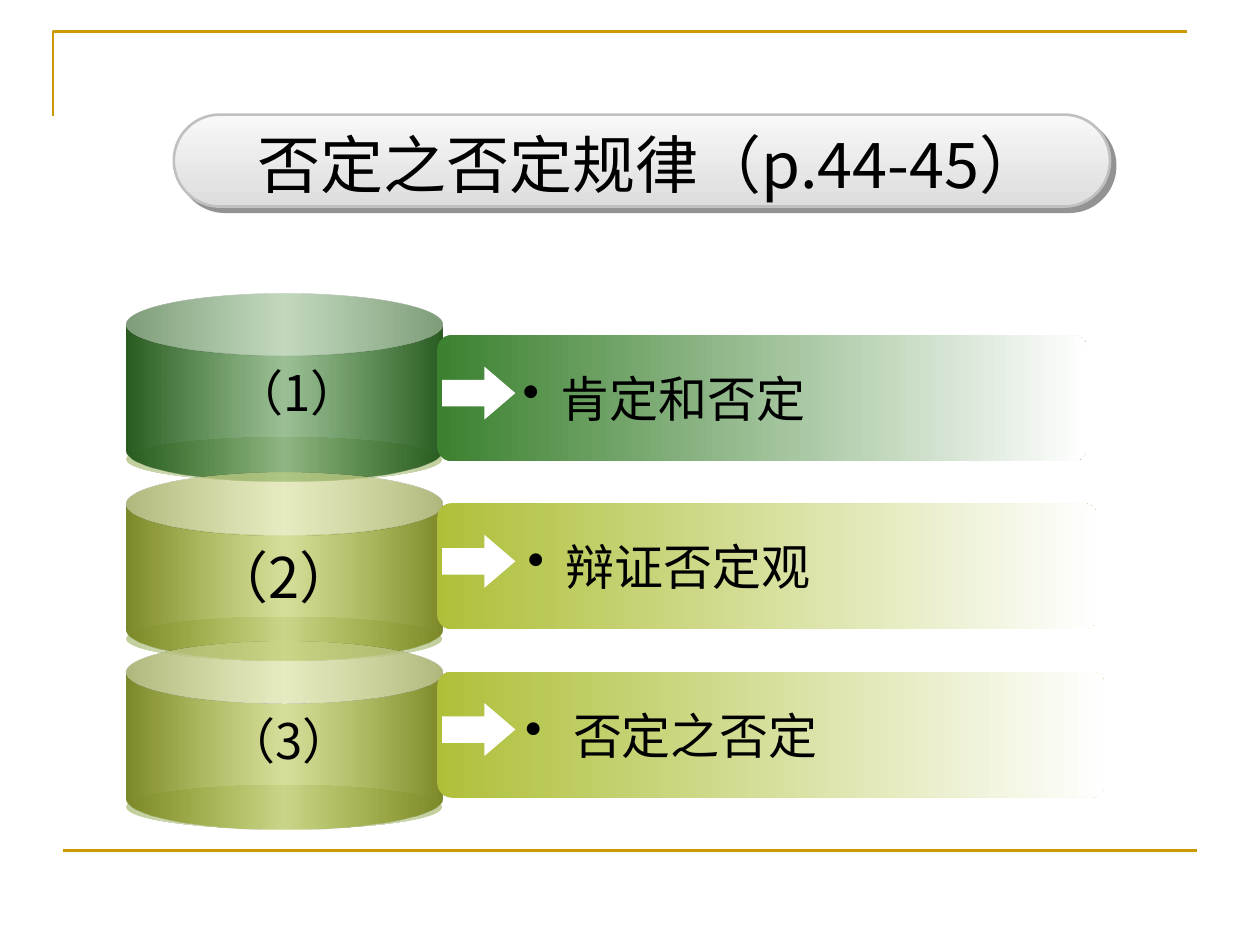
from lxml import etree
from pptx import Presentation
from pptx.dml.color import RGBColor
from pptx.enum.shapes import MSO_CONNECTOR, MSO_SHAPE
from pptx.enum.text import MSO_ANCHOR, PP_ALIGN
from pptx.oxml import parse_xml
from pptx.oxml.ns import nsdecls, qn
from pptx.util import Inches, Pt

LINE = MSO_CONNECTOR.STRAIGHT
PILL, OVAL = MSO_SHAPE.ROUNDED_RECTANGLE, MSO_SHAPE.OVAL
CAN, ARROW = MSO_SHAPE.CAN, MSO_SHAPE.RIGHT_ARROW
MIDDLE, CENTER, LEFT = MSO_ANCHOR.MIDDLE, PP_ALIGN.CENTER, PP_ALIGN.LEFT

CELL = Inches(0.1)  # the slide is a grid of 100 columns by 75 rows
COLS, ROWS = 100, 75
FONT = "Noto Sans CJK SC"
HEX = {
    "gold": "CC9900", "text": "000000", "white": "FFFFFF",
    "pale": "F8F8F8", "grey": "DDDDDD", "rim": "C0C0C0", "shade": "292929",
    "glow": "C1CF9D", "shine": "E7ECDC",
    "green": "3B812F", "pine": "2A5C22",
    "lime": "AFBF39", "olive": "7D8929",
}
# tone, edge, can lift, label, label size, label shift, bar width, text, text left, indent
ITEMS = [
    ("green", "pine", 3.3, "（1）", 28, 1, 51.6, "肯定和否定", 40.5, 3),
    ("lime", "olive", 2.4, "（2）", 32, 0, 52.4, "辩证否定观", 40.9, 3),
    ("lime", "olive", 2.4, "（3）", 28, 0.4, 53, "否定之否定", 40.7, 3.8),
]
TOP, PITCH, BAR = 26.6, 13.35, 10


def grid(*cells):
    return [int(n * CELL) for n in cells]


def color(key):
    return RGBColor.from_string(HEX[key])


def blend(shape, stops, angle=0):
    """Fill with a gradient; each stop is (percent, colour key, opacity)."""
    marks = "".join(
        f'<a:gs pos="{pos * 1000}"><a:srgbClr val="{HEX[key]}">'
        f'<a:alpha val="{alpha * 1000}"/></a:srgbClr></a:gs>'
        for pos, key, alpha in stops)
    shape.fill.background()
    props = shape._element.spPr
    props.replace(props.find(qn("a:noFill")), parse_xml(
        f'<a:gradFill {nsdecls("a")} rotWithShape="1"><a:gsLst>{marks}</a:gsLst>'
        f'<a:lin ang="{angle * 60000}" scaled="0"/></a:gradFill>'))


def form(slide, kind, box, *adjust):
    shape = slide.shapes.add_shape(kind, *grid(*box))
    for i, value in enumerate(adjust):
        shape.adjustments[i] = value
    shape.shadow.inherit = False
    shape.line.fill.background()
    return shape


def write(slide, box, text, size, align=CENTER):
    frame = slide.shapes.add_textbox(*grid(*box)).text_frame
    frame.word_wrap = True
    frame.vertical_anchor = MIDDLE
    frame.text = text
    para = frame.paragraphs[0]
    para.alignment = align
    font = para.runs[0].font
    font.name, font.size = FONT, Pt(size)
    font.color.rgb = color("text")
    etree.SubElement(font._element, qn("a:ea"), typeface=FONT)
    return para


def bullet(para, indent):
    props = para._p.get_or_add_pPr()
    step = int(indent * CELL)
    props.set("marL", str(step))
    props.set("indent", str(-step))
    etree.SubElement(props, qn("a:buChar"), char="•")


def stroke(shape, key):
    shape.line.color.rgb = color(key)
    shape.line.width = Pt(1.5)


def frame(slide, box):
    """Draw the corner above and the rule below."""
    left, top, wide, high = box
    path = slide.shapes.build_freeform(*grid(left, top + 6.7))
    path.add_line_segments([grid(left, top), grid(left + wide, top)], close=False)
    corner = path.convert_to_shape()
    corner.fill.background()
    corner.shadow.inherit = False
    stroke(corner, "gold")
    base = top + high
    rule = slide.shapes.add_connector(
        LINE, *grid(left + 0.8, base, left + 0.8 + wide, base))
    stroke(rule, "gold")
    etree.SubElement(rule._element.spPr, qn("a:effectLst"))


def title(slide, box, text):
    pill = form(slide, PILL, box, 0.5)
    blend(pill, [(0, "pale", 100), (100, "grey", 100)], 90)
    stroke(pill, "rim")
    pill._element.spPr.find(qn("a:effectLst")).append(parse_xml(
        f'<a:outerShdw {nsdecls("a")} blurRad="0" dist="{Pt(4.2)}" dir="2700000" '
        f'algn="ctr" rotWithShape="0"><a:srgbClr val="{HEX["shade"]}">'
        '<a:alpha val="50000"/></a:srgbClr></a:outerShdw>'))
    left, top, wide, high = box
    write(slide, (left + 1.9, top + 0.2, wide - 2.5, high), text, 36)


def drum(slide, box, tone, edge, label, size, shift):
    left, top, wide, high = box
    glow = form(slide, OVAL, (left, top + high - 3.5, wide, 3.5))
    blend(glow, [(0, "glow", 100), (50, "shine", 100), (100, "glow", 100)])
    can = form(slide, CAN, box, 0.332)
    blend(can, [(0, edge, 100), (50, tone, 50), (100, edge, 100)])
    write(slide, (left + 0.9 + shift, top + 5, wide - 1.8, size / 5), label, size)


def band(slide, box, tone, text, start, indent):
    left, top, wide, high = box
    bar = form(slide, PILL, box, 0.115)
    blend(bar, [(0, tone, 100), (100, "white", 100)])
    arrow = form(slide, ARROW, (left + 0.4, top + 2.5, 5.8, 4.2), 0.5, 0.583)
    arrow.fill.solid()
    arrow.fill.fore_color.rgb = color("white")
    bullet(write(slide, (start, top + 2.15, 48, 5.7), text, 28, LEFT), indent)


def main():
    deck = Presentation()
    deck.slide_width, deck.slide_height = grid(COLS, ROWS)
    slide = deck.slides.add_slide(deck.slide_layouts[6])
    frame(slide, (4.2, 2.5, 90, 65))
    title(slide, (13.8, 9.1, 74.3, 7.3), "否定之否定规律（p.44-45）")
    for row, item in enumerate(ITEMS):
        tone, edge, lift, label, size, shift, wide, text, start, indent = item
        top = TOP + row * PITCH
        drum(slide, (10, top - lift, 25.1, 14.9), tone, edge, label, size, shift)
        band(slide, (34.7, top, wide, BAR), tone, text, start, indent)
    deck.save("out.pptx")


if __name__ == "__main__":
    main()
